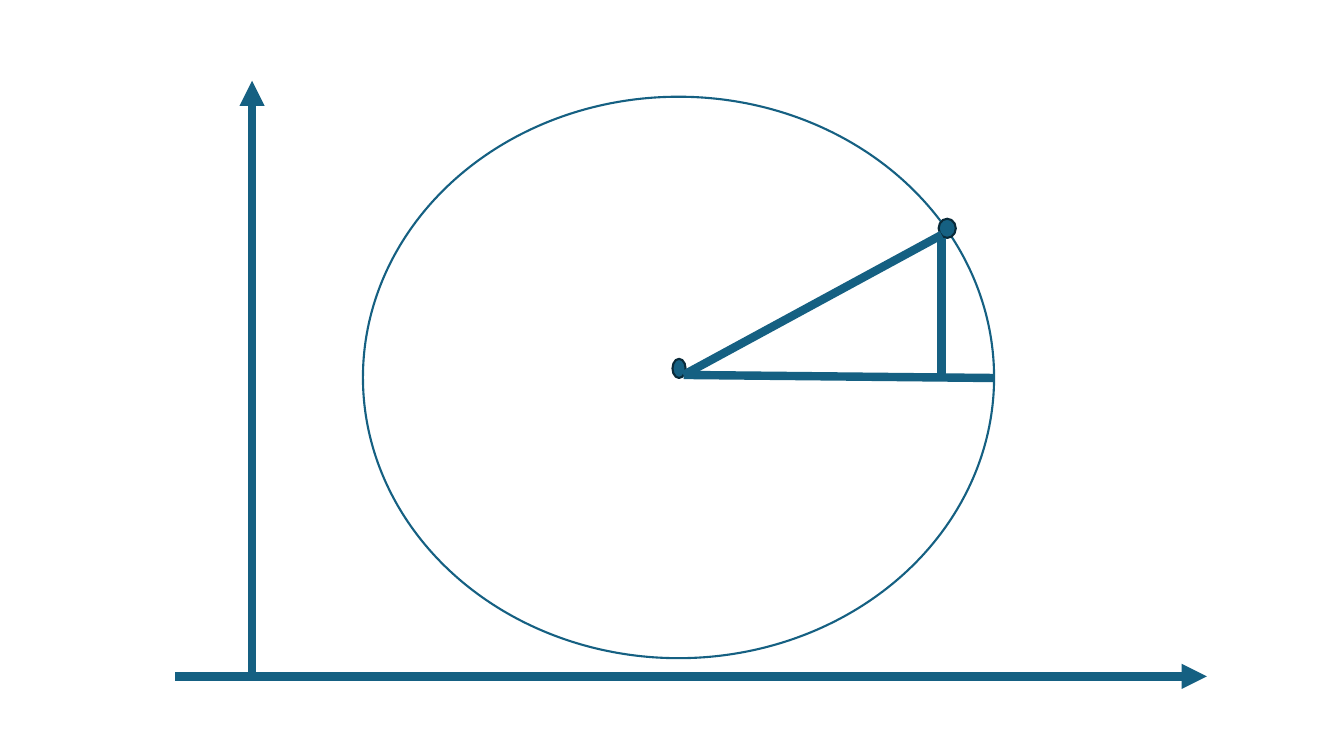
from lxml import etree
from pptx import Presentation
from pptx.dml.color import RGBColor
from pptx.enum.shapes import MSO_CONNECTOR, MSO_SHAPE
from pptx.oxml.ns import qn
from pptx.util import Pt

OVAL = MSO_SHAPE.OVAL
STRAIGHT = MSO_CONNECTOR.STRAIGHT
PX = 9144  # EMU per px, 100 px to the inch
TEAL, DARK, WHITE = "156082", "092A39", "FFFFFF"


def rgb(value):
    return RGBColor.from_string(value)


prs = Presentation()
prs.slide_width, prs.slide_height = 1333 * PX, 750 * PX
s = prs.slides.add_slide(prs.slide_layouts[6])

# Circle, its centre and the point on it
ovals = [
    (360, 96, 626, 557, WHITE, TEAL),
    (667, 356, 13, 19, TEAL, DARK),
    (931, 217, 17, 19, TEAL, DARK),
]
for x, y, w, h, fill, line in ovals:
    sp = s.shapes.add_shape(OVAL, x * PX, y * PX, w * PX, h * PX)
    sp.shadow.inherit = False
    sp.fill.solid()
    sp.fill.fore_color.rgb = rgb(fill)
    sp.line.color.rgb = rgb(line)
    sp.line.width = Pt(1.5)

# Triangle sides, then the two axes with arrowheads
lines = [
    (678, 372, 986, 375, False),
    (678, 372, 934, 233, False),
    (934, 236, 934, 375, False),
    (250, 671, 250, 80, True),
    (174, 671, 1197, 671, True),
]
for x1, y1, x2, y2, is_axis in lines:
    cx = s.shapes.add_connector(STRAIGHT, x1 * PX, y1 * PX, x2 * PX, y2 * PX)
    cx.line.color.rgb = rgb(TEAL)
    cx.line.width = Pt(6)
    if is_axis:
        etree.SubElement(cx.line._get_or_add_ln(), qn("a:tailEnd"), type="triangle")
    etree.SubElement(cx._element.spPr, qn("a:effectLst"))

prs.save("out.pptx")
